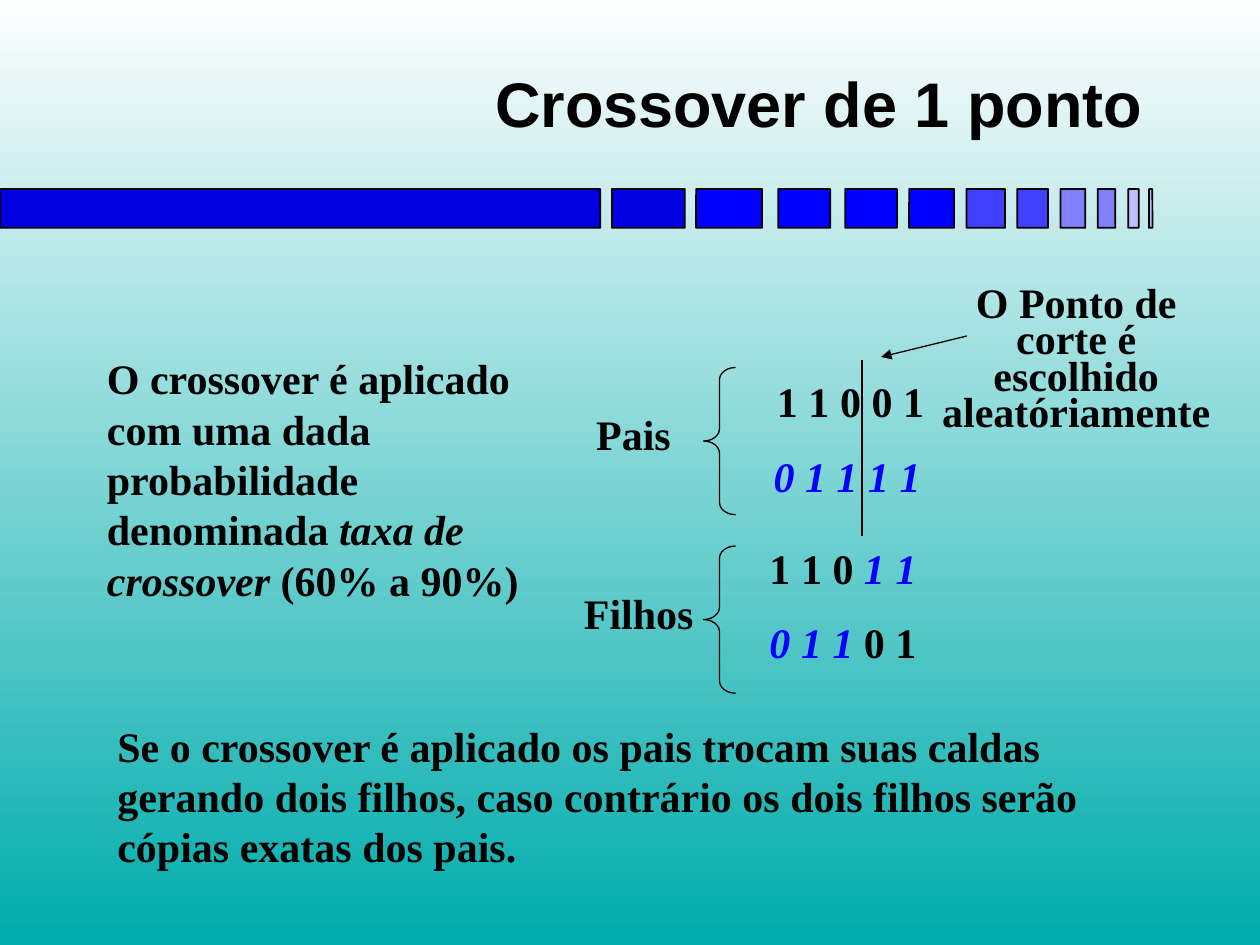
from typing import NamedTuple

import lxml.etree
import pptx
import pptx.dml.color
import pptx.enum.shapes
import pptx.enum.text
import pptx.oxml.ns
import pptx.util

Pt = pptx.util.Pt
RGBColor = pptx.dml.color.RGBColor
SHAPE = pptx.enum.shapes.MSO_SHAPE
ALIGN = pptx.enum.text.PP_ALIGN
ANCHOR = pptx.enum.text.MSO_ANCHOR
qn = pptx.oxml.ns.qn

BLACK = RGBColor(0x00, 0x00, 0x00)
BLUE = RGBColor(0x00, 0x00, 0xFF)
DARK_BLUE = RGBColor(0x00, 0x00, 0xE0)
MID_BLUE = RGBColor(0x40, 0x40, 0xFF)
LIGHT_BLUE = RGBColor(0x80, 0x80, 0xFF)
PALE_BLUE = RGBColor(0xC0, 0xC0, 0xFF)
NEAR_WHITE = RGBColor(0xFE, 0xFE, 0xFE)
TEAL = RGBColor(0x00, 0xAC, 0xAC)

BAR_TOP, BAR_HEIGHT = 108, 22.2
BRACE_LEFT, BRACE_WIDTH, BRACE_HEIGHT = 402, 18.3, 84.1


class Bar(NamedTuple):
    left: float
    width: float
    color: RGBColor


class Run(NamedTuple):
    text: str
    color: RGBColor = BLACK
    italic: bool = False


class Text(NamedTuple):
    left: float
    top: float
    width: float
    height: float
    runs: list[Run]
    before: float
    align: ALIGN = ALIGN.CENTER
    anchor: ANCHOR = ANCHOR.MIDDLE
    spacing: float = 0.72
    inset: float = 1.4
    font: str = "Times New Roman"
    size: float = 24


def gene(text: str) -> Run:
    """Digits that come from the second parent."""
    return Run(text, BLUE, True)


def body(left: float, top: float, width: float, height: float, runs: list[Run]) -> Text:
    return Text(left, top, width, height, runs, 15, ALIGN.LEFT, ANCHOR.TOP, 1, 7.2)


BARS = [
    Bar(0, 343, DARK_BLUE),
    Bar(349.7, 41.6, DARK_BLUE),
    Bar(397.8, 37.7, BLUE),
    Bar(444.7, 29.7, BLUE),
    Bar(483, 29.5, BLUE),
    Bar(519.5, 25.7, BLUE),
    Bar(552.3, 22, MID_BLUE),
    Bar(581.3, 17.6, MID_BLUE),
    Bar(606, 14.2, LIGHT_BLUE),
    Bar(627.3, 10, LIGHT_BLUE),
    Bar(644.7, 6, PALE_BLUE),
    Bar(656.5, 2, PALE_BLUE),
]

TEXTS = [
    Text(42, 13.5, 618, 90, [Run("Crossover de 1 ponto")], 9,
         align=ALIGN.RIGHT, spacing=1, inset=7.2, font="Arial", size=36),
    Text(437, 198.7, 98, 67, [Run("1 1 0 0 1")], 16.2),
    Text(435, 242, 98, 67, [gene("0 1 1 1 1")], 16.2),
    Text(432.7, 310.3, 98, 35.3, [Run("1 1 0 "), gene("1 1")], 5.2),
    Text(432.7, 352.3, 98, 35.3, [gene("0 1 1"), Run(" 0 1")], 5.2),
    Text(330, 216, 64, 70.5, [Run("Pais")], 15.5),
    Text(324, 318, 82, 70.5, [Run("Filhos")], 15.5),
    Text(534, 144, 162, 126,
         [Run("O Ponto de corte é escolhido aleatóriamente")], 15.5),
    body(54, 198, 276, 151.2, [
        Run("O crossover é aplicado com uma dada probabilidade denominada "),
        Run("taxa de crossover ", italic=True),
        Run("(60% a 90%)"),
    ]),
    body(60, 408, 576, 93.6, [
        Run("Se o crossover é aplicado os pais trocam suas caldas gerando dois "
            "filhos, caso contrário os dois filhos serão cópias exatas dos pais."),
    ]),
]


def draw_background(s: pptx.slide.Slide) -> None:
    fill = s.background.fill
    fill.gradient()
    fill.gradient_angle = 270
    for stop, color in zip(fill.gradient_stops, (NEAR_WHITE, TEAL)):
        stop.color.rgb = color


def draw_bar(s: pptx.slide.Slide, bar: Bar) -> None:
    sp = s.shapes.add_shape(SHAPE.ROUNDED_RECTANGLE, Pt(bar.left), Pt(BAR_TOP),
                            Pt(bar.width), Pt(BAR_HEIGHT))
    sp.shadow.inherit = False
    sp.adjustments[0] = 0.006
    sp.fill.solid()
    sp.fill.fore_color.rgb = bar.color
    sp.line.color.rgb = BLACK
    sp.line.width = Pt(1)


def draw_brace(s: pptx.slide.Slide, top: float) -> None:
    sp = s.shapes.add_shape(SHAPE.LEFT_BRACE, Pt(BRACE_LEFT), Pt(top),
                            Pt(BRACE_WIDTH), Pt(BRACE_HEIGHT))
    sp.shadow.inherit = False
    sp.adjustments[0] = 0.38
    sp.fill.background()
    sp.line.color.rgb = BLACK
    sp.line.width = Pt(0.75)


def draw_line(s: pptx.slide.Slide, x1: float, y1: float, x2: float, y2: float,
              width: float, arrow: bool = False) -> None:
    line = s.shapes.add_connector(pptx.enum.shapes.MSO_CONNECTOR.STRAIGHT,
                                  Pt(x1), Pt(y1), Pt(x2), Pt(y2))
    line.line.color.rgb = BLACK
    line.line.width = Pt(width)
    if arrow:
        lxml.etree.SubElement(line.line._get_or_add_ln(), qn("a:tailEnd"), type="triangle")
    lxml.etree.SubElement(line._element.spPr, qn("a:effectLst"))


def draw_text(s: pptx.slide.Slide, text: Text) -> None:
    sp = s.shapes.add_textbox(Pt(text.left), Pt(text.top), Pt(text.width), Pt(text.height))
    tf = sp.text_frame
    tf.word_wrap = True
    tf.vertical_anchor = text.anchor
    tf.margin_left = tf.margin_right = Pt(text.inset)
    tf.margin_top = tf.margin_bottom = Pt(3.6)
    p = tf.paragraphs[0]
    p.alignment = text.align
    p.space_before = Pt(text.before)
    p.line_spacing = text.spacing
    for run in text.runs:
        r = p.add_run()
        r.text = run.text
        r.font.name = text.font
        r.font.size = Pt(text.size)
        r.font.bold = True
        r.font.italic = run.italic
        r.font.color.rgb = run.color


def main() -> None:
    prs = pptx.Presentation()
    prs.slide_width, prs.slide_height = Pt(720), Pt(540)
    s = prs.slides.add_slide(prs.slide_layouts[6])
    draw_background(s)
    for bar in BARS:
        draw_bar(s, bar)
    for text in TEXTS:
        draw_text(s, text)
    for top in (210, 312):
        draw_brace(s, top)
    draw_line(s, 492.5, 205.7, 492.5, 306, 1)
    draw_line(s, 552.5, 192, 503.5, 204, 0.75, arrow=True)
    prs.save("out.pptx")


if __name__ == "__main__":
    main()
